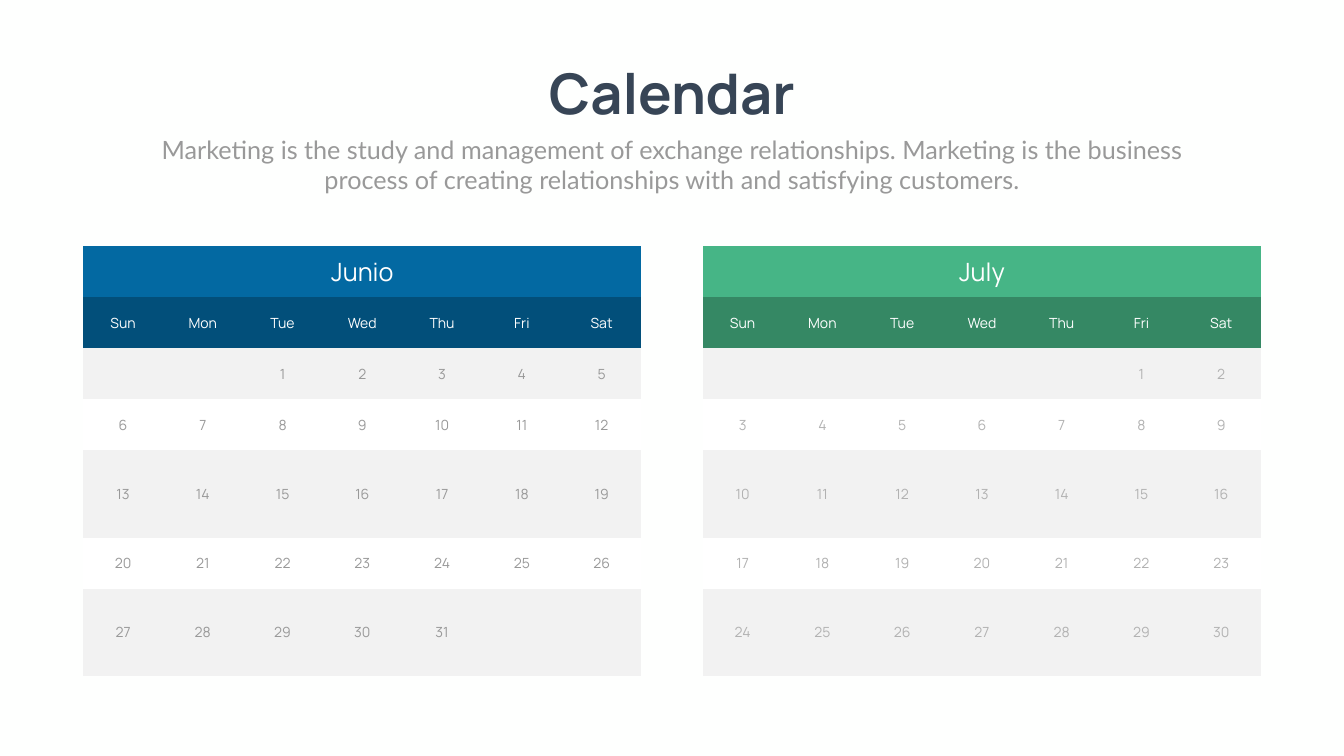
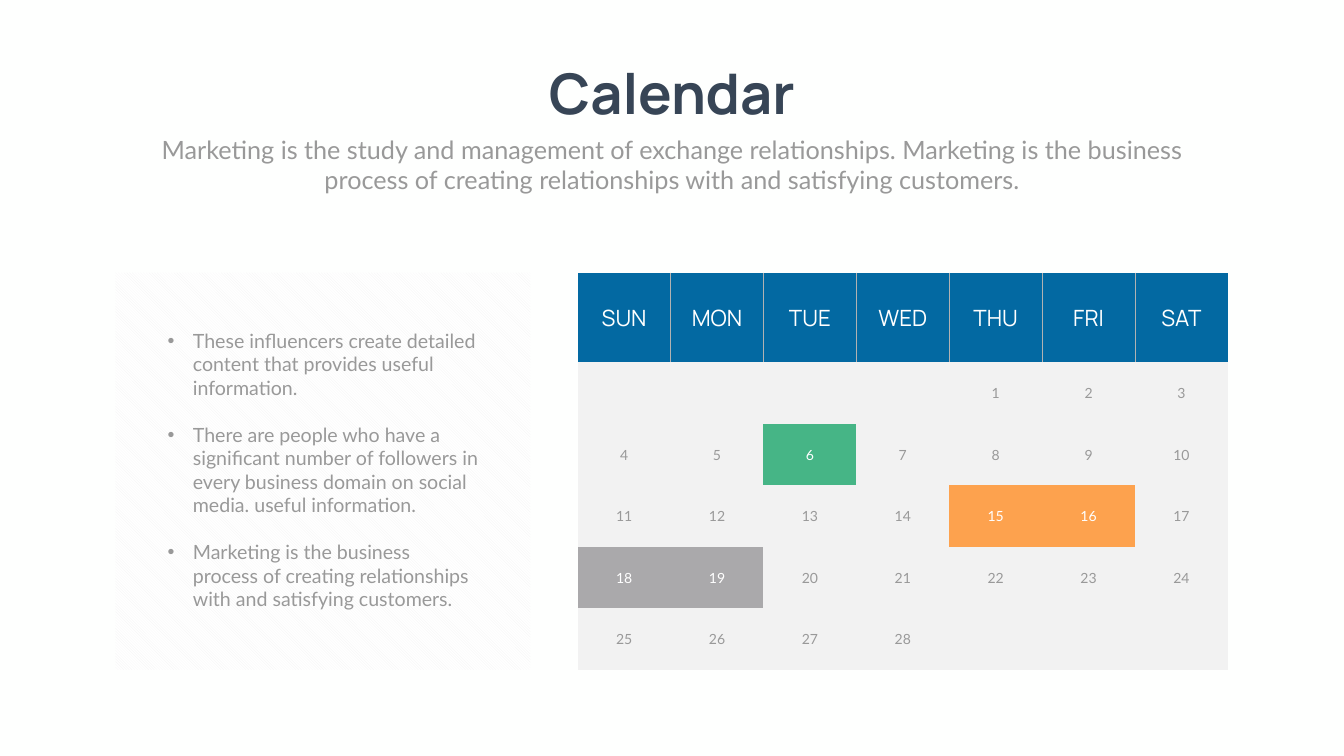
from pptx import Presentation
from pptx.dml.color import RGBColor as RGB
from pptx.enum.dml import MSO_PATTERN as Pattern
from pptx.enum.shapes import MSO_SHAPE as Shape
from pptx.enum.text import MSO_ANCHOR as Anchor, PP_ALIGN as Align
from pptx.oxml import parse_xml
from pptx.oxml.ns import nsdecls, qn
from pptx.util import Cm, Pt

# Colours and fonts
PAPER = RGB(0xFE, 0xFF, 0xFE)
WHITE = RGB(0xFF, 0xFF, 0xFF)
NAVY = RGB(0x37, 0x45, 0x56)
GREY = RGB(0x99, 0x99, 0x99)
PALE = RGB(0xB2, 0xB2, 0xB2)
BAND = RGB(0xF2, 0xF2, 0xF2)
BLUE = RGB(0x03, 0x69, 0xA2)
DEEP = RGB(0x02, 0x4F, 0x7A)
GREEN = RGB(0x46, 0xB5, 0x86)
PINE = RGB(0x35, 0x88, 0x64)
AMBER = RGB(0xFD, 0xA2, 0x4E)
STEEL = RGB(0xAA, 0xA9, 0xAB)
HEAD, BODY = "Manrope", "Lato"
NO_GRID = "{2D5ABB26-0587-4C30-8999-92F81FD0307C}"

# Content
TITLE = "Calendar"
INTRO = ("Marketing is the study and management of exchange relationships. "
         "Marketing is the business process of creating relationships with "
         "and satisfying customers.")
DAYS = ["Sun", "Mon", "Tue", "Wed", "Thu", "Fri", "Sat"]
MONTHS = [
    dict(name="Junio", skip=2, last=31, left=4.19, top=BLUE, sub=DEEP, ink=GREY),
    dict(name="July", skip=5, last=30, left=35.41, top=GREEN, sub=PINE, ink=PALE),
]
SKIP, LAST = 4, 28
MARKS = {6: GREEN, 15: AMBER, 16: AMBER, 18: STEEL, 19: STEEL}
NOTES = [
    "These influencers create detailed content that provides useful information.",
    "There are people who have a significant number of followers in every "
    "business domain on social media. useful information.",
    "Marketing is the business process of creating relationships with and "
    "satisfying customers.",
]

# Sizes in centimetres
PAIR_TOP, PAIR_COL = 12.42, 4.02
LOW, TALL = 2.57, 4.39
PAIR_ROWS = [LOW, LOW, LOW, LOW, TALL, LOW, TALL]
MAIN_TOP, MAIN_COL = 13.74, 4.68
MAIN_ROWS = [4.52] + [3.1] * 5


def put(frame, *texts, font=BODY, size=20, color=GREY, bold=False,
        align=Align.CENTER, gap=0, bullet=False):
    """Write one paragraph for each text, all in the same format."""
    for i, text in enumerate(texts):
        para = frame.add_paragraph() if i else frame.paragraphs[0]
        para.alignment = align
        if bullet:
            props = para._p.get_or_add_pPr()
            props.set("marL", str(Cm(1.27)))
            props.set("indent", str(-Cm(1.27)))
            props.append(parse_xml(f'<a:buFont {nsdecls("a")} typeface="Arial"/>'))
            props.append(parse_xml(f'<a:buChar {nsdecls("a")} char="•"/>'))
        if i and gap:
            para.space_before = Pt(gap)
        run = para.add_run()
        run.text = text
        run.font.name, run.font.size = font, Pt(size)
        run.font.bold, run.font.color.rgb = bold, color


def place(shape, *box):
    shape.left, shape.top, shape.width, shape.height = map(Cm, box)


def add_box(slide, *box):
    frame = slide.shapes.add_textbox(*map(Cm, box)).text_frame
    frame.word_wrap = True
    return frame


def add_page(prs):
    """Start a slide with the shared title and intro."""
    slide = prs.slides.add_slide(prs.slide_layouts[5])
    title = slide.shapes.title
    place(title, 26.75, 2.84, 14.22, 3.68)
    frame = title.text_frame
    frame.word_wrap, frame.vertical_anchor = False, Anchor.TOP
    put(frame, TITLE, font=HEAD, size=80, color=NAVY, bold=True)
    put(add_box(slide, 7.42, 6.63, 52.88, 3.33), INTRO, size=36)
    return slide


def add_grid(slide, left, top, col, rows):
    """Add a plain seven-column table."""
    wide = len(DAYS)
    part = slide.shapes.add_table(len(rows), wide, Cm(left), Cm(top),
                                  Cm(col * wide), Cm(sum(rows)))
    next(part._element.iter(qn("a:tableStyleId"))).text = NO_GRID
    grid = part.table
    grid.first_row = grid.horz_banding = False
    for item in grid.columns:
        item.width = Cm(col)
    for item, high in zip(grid.rows, rows):
        item.height = Cm(high)
    return grid


def set_cell(cell, text, fill, **style):
    cell.fill.solid()
    cell.fill.fore_color.rgb = fill
    cell.vertical_anchor = Anchor.MIDDLE
    if text:
        put(cell.text_frame, text, **style)


def get_days(skip, last):
    """Yield week, weekday and day number, 0 where the cell is empty."""
    for spot in range(5 * len(DAYS)):
        day = spot - skip + 1
        yield *divmod(spot, len(DAYS)), day if 1 <= day <= last else 0


def add_edges(cell, sides):
    props = cell._tc.get_or_add_tcPr()
    for i, side in enumerate(sides):
        props.insert(i, parse_xml(
            f'<a:ln{side} {nsdecls("a")} w="{Pt(0.5)}"><a:solidFill>'
            f'<a:srgbClr val="{PALE}"/></a:solidFill></a:ln{side}>'))


def add_month(slide, month):
    grid = add_grid(slide, month["left"], PAIR_TOP, PAIR_COL, PAIR_ROWS)
    grid.cell(0, 0).merge(grid.cell(0, len(DAYS) - 1))
    set_cell(grid.cell(0, 0), month["name"], month["top"],
             font=HEAD, size=36, color=WHITE)
    for c, name in enumerate(DAYS):
        set_cell(grid.cell(1, c), name, month["sub"], font=HEAD, color=WHITE)
    for week, c, day in get_days(month["skip"], month["last"]):
        set_cell(grid.cell(week + 2, c), str(day or ""),
                 WHITE if week % 2 else BAND, font=HEAD, color=month["ink"])


def add_main(slide):
    grid = add_grid(slide, 29.11, MAIN_TOP, MAIN_COL, MAIN_ROWS)
    for c, name in enumerate(DAYS):
        cell = grid.cell(0, c)
        set_cell(cell, name.upper(), BLUE, font=HEAD, size=32, color=WHITE)
        add_edges(cell, ("L" if c else "") + ("R" if c < len(DAYS) - 1 else ""))
    for week, c, day in get_days(SKIP, LAST):
        set_cell(grid.cell(week + 1, c), str(day or ""), MARKS.get(day, BAND),
                 color=WHITE if day in MARKS else GREY)


def add_notes(slide):
    panel = slide.shapes.add_shape(Shape.RECTANGLE, Cm(5.82), Cm(MAIN_TOP),
                                   Cm(20.9), Cm(sum(MAIN_ROWS)))
    panel.shadow.inherit = False
    panel.line.fill.background()
    panel.fill.patterned()
    panel.fill.pattern = Pattern.WIDE_DOWNWARD_DIAGONAL
    panel.fill.fore_color.rgb, panel.fill.back_color.rgb = BAND, WHITE
    put(add_box(slide, 8.2, 16.43, 16.18, 14.63), *NOTES, size=28,
        align=Align.LEFT, gap=33.6, bullet=True)


def main():
    prs = Presentation()
    prs.slide_width, prs.slide_height = Cm(67.72), Cm(38.1)
    back = prs.slide_master.background.fill
    back.solid()
    back.fore_color.rgb = PAPER

    # Two months side by side
    slide = add_page(prs)
    for month in MONTHS:
        add_month(slide, month)

    # One month with marked days and notes
    slide = add_page(prs)
    add_main(slide)
    add_notes(slide)

    prs.save("out.pptx")


if __name__ == "__main__":
    main()
